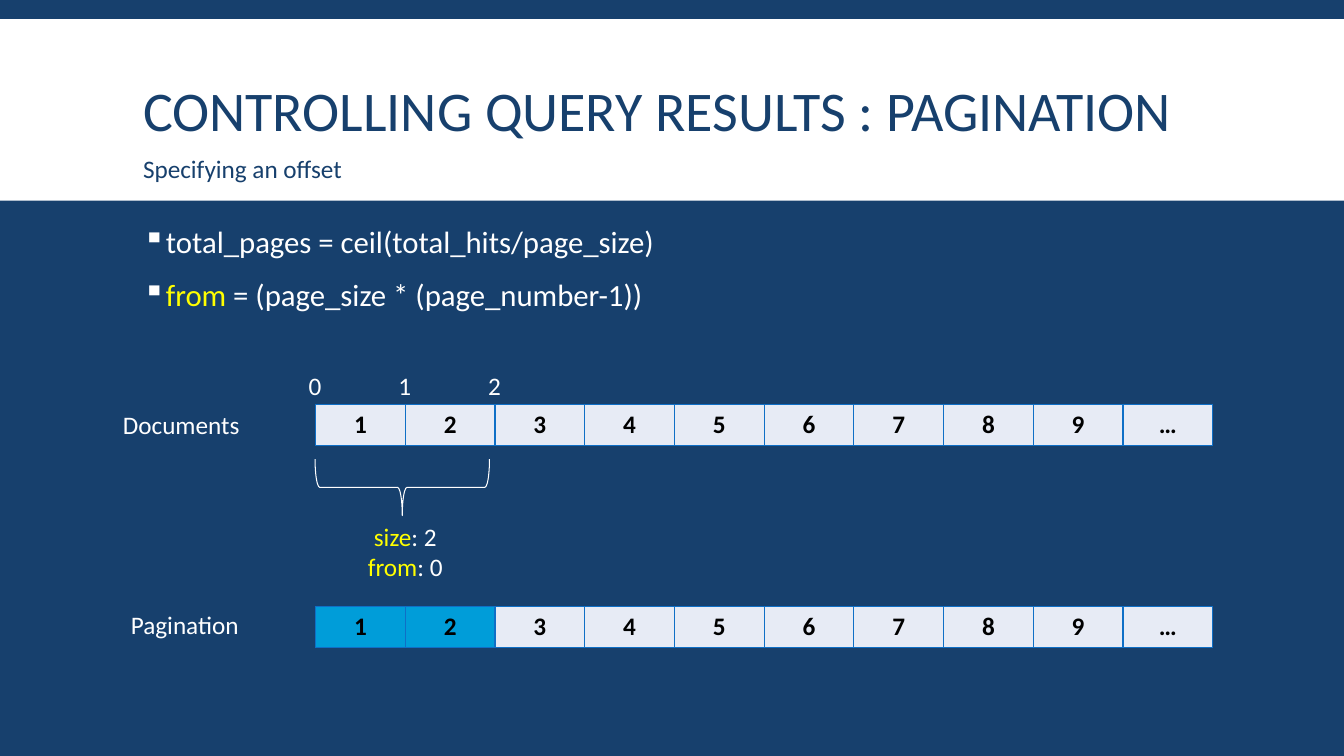
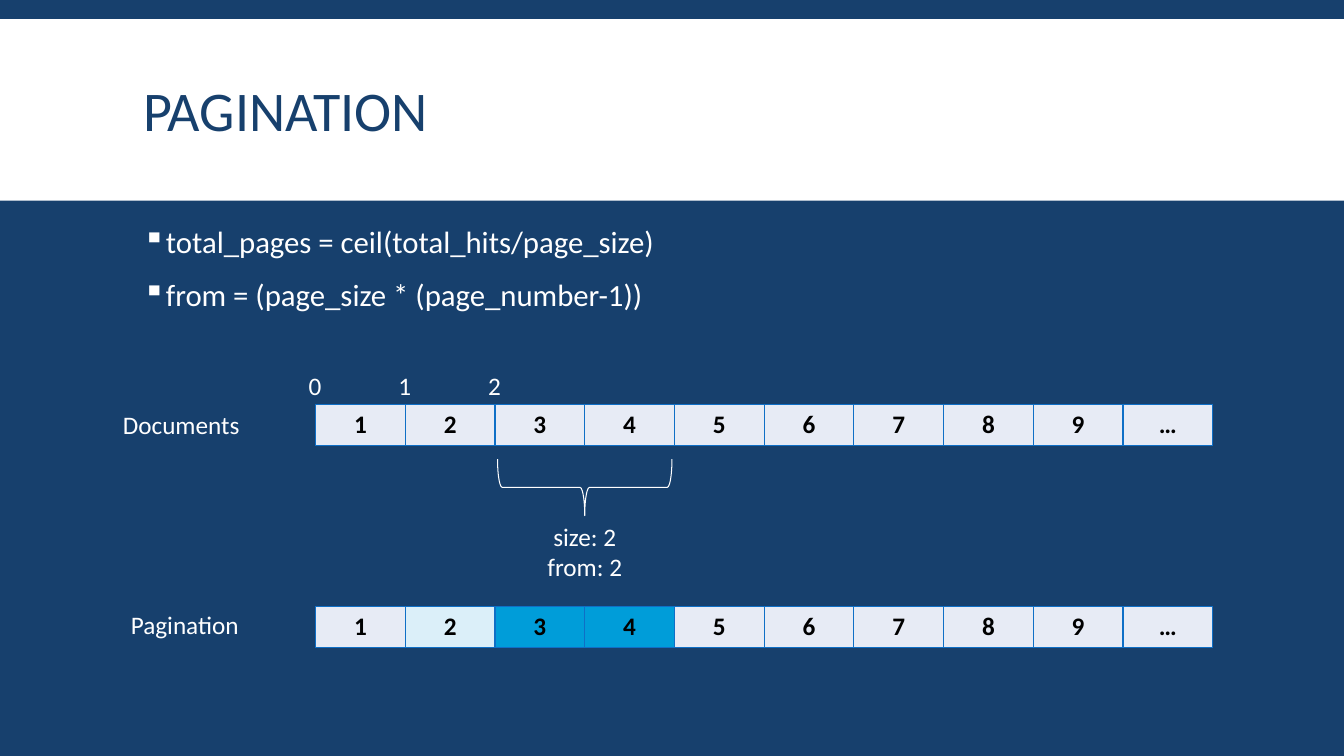
import pptx
import pptx.dml.color
import pptx.enum.shapes
import pptx.enum.text
import pptx.oxml
import pptx.oxml.ns
import pptx.util

PX = 9144
FONT = "Calibri"
COLORS = {
    "navy": "17406D",
    "white": "FFFFFF",
    "yellow": "FFFF00",
    "black": "000000",
    "cell": "E7EBF5",
    "tint": "DBEFF9",
    "selected": "009DD9",
    "border": "0F6FC6",
}
RGB = {name: pptx.dml.color.RGBColor.from_string(value) for name, value in COLORS.items()}
ALIGN = pptx.enum.text.PP_ALIGN
FIT = pptx.enum.text.MSO_AUTO_SIZE
SHAPES = pptx.enum.shapes.MSO_SHAPE
NAMESPACE = pptx.oxml.ns.nsdecls("a")

DOCUMENTS = ["1", "2", "3", "4", "5", "6", "7", "8", "9", "…"]
CELL_WIDTH = 89
ROW_LEFT = 313
PAGES = [
    {
        "title": "CONTROLLING QUERY RESULTS : PAGINATION",
        "title_width": 1181,
        "subtitle": "Specifying an offset",
        "keyword": "yellow",
        "offset": "0",
        "brace_left": 371,
        "query_left": 354,
        "cell_fills": {0: "selected", 1: "selected"},
    },
    {
        "title": "PAGINATION",
        "title_width": 1070,
        "subtitle": None,
        "keyword": "white",
        "offset": "2",
        "brace_left": 552,
        "query_left": 532,
        "cell_fills": {1: "tint", 2: "selected", 3: "selected"},
    },
]


def box(*lengths):
    return [length * PX for length in lengths]


def add_text(slide, place, lines, size=18, align=ALIGN.LEFT, wrap=False, fit=FIT.SHAPE_TO_FIT_TEXT):
    frame = slide.shapes.add_textbox(*box(*place)).text_frame
    frame.word_wrap = wrap
    frame.auto_size = fit
    for index, parts in enumerate(lines):
        paragraph = frame.add_paragraph() if index else frame.paragraphs[0]
        paragraph.alignment = align
        for words, color in parts:
            run = paragraph.add_run()
            run.text = words
            run.font.name = FONT
            run.font.size = pptx.util.Pt(size)
            run.font.color.rgb = RGB[color]
    return frame


deck = pptx.Presentation()
deck.slide_width, deck.slide_height = box(1333, 750)
title_only = deck.slide_layouts[5]
title_only.background.fill.solid()
title_only.background.fill.fore_color.rgb = RGB["navy"]

for page in PAGES:
    slide = deck.slides.add_slide(title_only)

    title = slide.shapes.title
    title.left, title.top, title.width, title.height = box(132, 31, page["title_width"], 165)
    title.text_frame.text = page["title"]
    title.text_frame.auto_size = FIT.NONE
    title.text_frame.vertical_anchor = pptx.enum.text.MSO_ANCHOR.MIDDLE
    heading = title.text_frame.paragraphs[0]
    heading.alignment = ALIGN.LEFT
    heading.line_spacing = 0.85
    heading.runs[0].font.name = FONT
    heading.runs[0].font.size = pptx.util.Pt(40)
    heading.runs[0].font.color.rgb = RGB["navy"]

    band = slide.shapes.add_shape(SHAPES.RECTANGLE, *box(0, 19, 1333, 180))
    band.shadow.inherit = False
    band.fill.solid()
    band.fill.fore_color.rgb = RGB["white"]
    band.line.fill.background()
    title.element.addprevious(band.element)

    formulas = add_text(
        slide,
        (132, 220, 1070, 460),
        [
            [("total_pages = ceil(total_hits/page_size)", "white")],
            [("from", page["keyword"]), (" = (page_size * (page_number-1))", "white")],
        ],
        size=22,
        wrap=True,
        fit=FIT.NONE,
    )
    for formula in formulas.paragraphs:
        formula.line_spacing = 0.9
        formula.space_before = pptx.util.Pt(12)
        formula.space_after = pptx.util.Pt(2)
        properties = formula._p.get_or_add_pPr()
        properties.set("marL", str(20 * PX))
        properties.set("indent", str(-20 * PX))
        for bullet in (
            f'<a:buClr {NAMESPACE}><a:srgbClr val="{COLORS["white"]}"/></a:buClr>',
            f'<a:buChar {NAMESPACE} char="▪"/>',
        ):
            properties.append(pptx.oxml.parse_xml(bullet))

    for top, height, fills in ((401, 41, {}), (602, 40, page["cell_fills"])):
        row = slide.shapes.add_table(
            1, len(DOCUMENTS), *box(ROW_LEFT, top, CELL_WIDTH * len(DOCUMENTS), height)
        ).table
        row.first_row = False
        row.horz_banding = False
        for index, document in enumerate(DOCUMENTS):
            row.columns[index].width = CELL_WIDTH * PX
            cell = row.cell(0, index)
            cell.text_frame.text = document
            number = cell.text_frame.paragraphs[0]
            number.alignment = ALIGN.CENTER
            number.runs[0].font.name = FONT
            number.runs[0].font.size = pptx.util.Pt(18)
            number.runs[0].font.bold = True
            number.runs[0].font.color.rgb = RGB["black"]
            cell_properties = cell._tc.get_or_add_tcPr()
            for side in ("lnL", "lnR", "lnT", "lnB"):
                cell_properties.append(pptx.oxml.parse_xml(
                    f'<a:{side} {NAMESPACE} w="12700"><a:solidFill>'
                    f'<a:srgbClr val="{COLORS["border"]}"/></a:solidFill></a:{side}>'
                ))
            cell.fill.solid()
            cell.fill.fore_color.rgb = RGB[fills.get(index, "cell")]

    for label, place in (("Documents", (112, 401, 141, 40)), ("Pagination", (120, 600, 133, 40))):
        add_text(slide, place, [[(label, "white")]])

    brace = slide.shapes.add_shape(SHAPES.LEFT_BRACE, *box(page["brace_left"], 397, 56, 173))
    brace.rotation = 270
    brace.shadow.inherit = False
    brace.fill.background()
    brace.line.color.rgb = RGB["white"]
    brace.line.width = pptx.util.Pt(0.75)

    add_text(
        slide,
        (page["query_left"], 512, 96, 71),
        [
            [("size", page["keyword"]), (": 2", "white")],
            [("from", page["keyword"]), (": " + page["offset"], "white")],
        ],
        align=ALIGN.CENTER,
    )

    if page["subtitle"]:
        add_text(slide, (132, 147, 265, 40), [[(page["subtitle"], "navy")]], wrap=True)

    for position in range(3):
        add_text(
            slide,
            (ROW_LEFT - 17 + position * CELL_WIDTH, 362, 33, 40),
            [[(str(position), "white")]],
            align=ALIGN.CENTER,
        )

deck.save("out.pptx")
